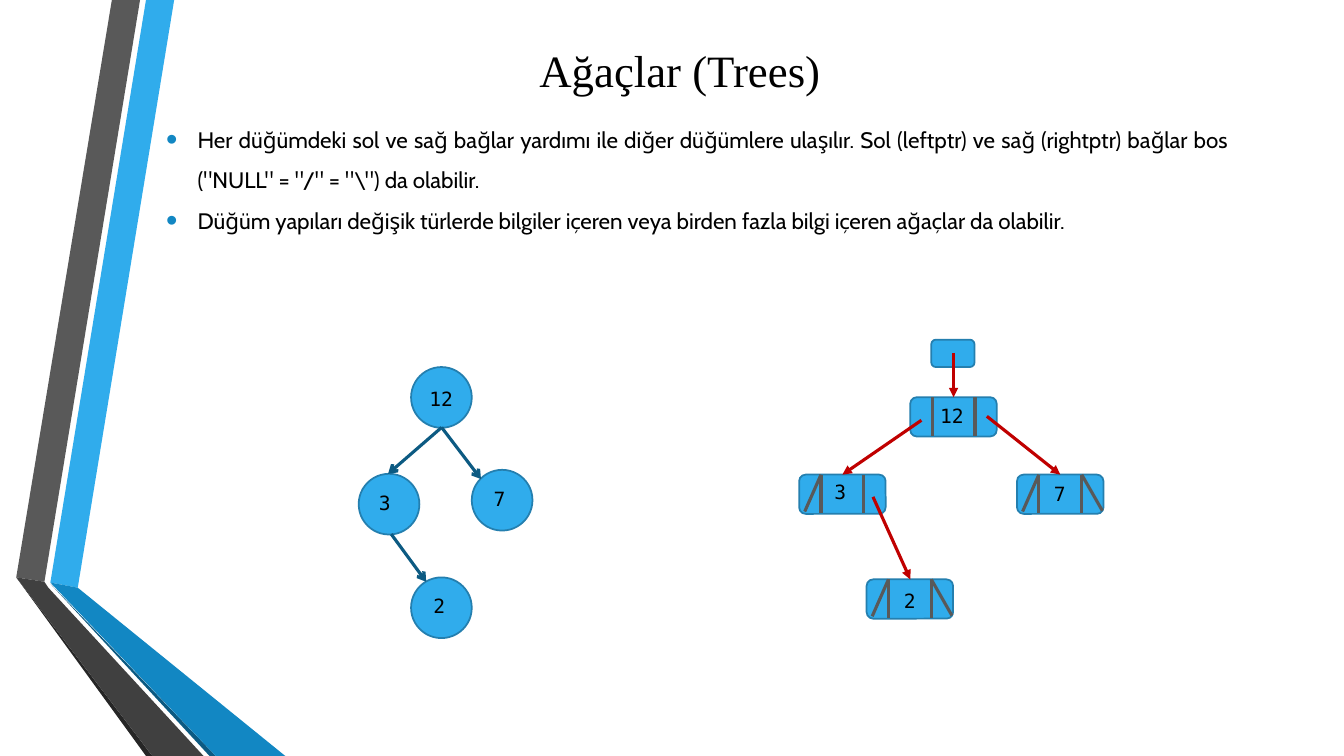
from typing import NamedTuple

from lxml.etree import SubElement
from pptx import Presentation
from pptx.dml.color import RGBColor
from pptx.enum.shapes import MSO_CONNECTOR, MSO_SHAPE
from pptx.enum.text import MSO_ANCHOR as Anchor, PP_ALIGN as Align
from pptx.oxml.ns import qn
from pptx.util import Cm, Pt

Point = tuple[float, float]

BLUE, OUTLINE, DEEP_BLUE, MID_BLUE = "30ACEC", "247FAF", "0C5A82", "1287C3"
GREY, RED, BLACK = "595959", "C00000", "000000"
NODE_SIZE = 1.53
RECORD_WIDTH, RECORD_HEIGHT = 2.18, 0.99
LEFT_DIVIDER, RIGHT_DIVIDER = 0.55, 1.63


class Ribbon(NamedTuple):
    color: str
    outline: list[Point]


class Node(NamedTuple):
    value: str
    left: float
    top: float
    label_offset: Point


class Record(NamedTuple):
    value: str
    left: float
    top: float
    label_offset: Point
    left_null: bool = False
    right_null: bool = False


class Link(NamedTuple):
    start: Point
    end: Point


RIBBONS = [
    Ribbon(BLUE, [(1.27, 14.68), (1.96, 14.81), (4.39, 0), (3.68, 0)]),
    Ribbon(GREY, [(3.53, 0), (2.82, 0), (0.41, 14.55), (1.12, 14.66)]),
    Ribbon("262626", [(0.41, 14.55), (3.68, 19.05), (3.84, 19.05)]),
    Ribbon(DEEP_BLUE, [(1.27, 14.71), (5.28, 19.05), (5.44, 19.05)]),
    Ribbon(MID_BLUE, [(1.27, 14.68), (5.44, 19.05), (7.19, 19.05), (1.96, 14.81)]),
    Ribbon("404040", [(5.13, 19.05), (1.22, 14.81), (1.12, 14.66), (0.41, 14.55),
                      (3.84, 19.05)]),
]
NODES = [
    Node("12", 10.36, 9.25, (0.21, 0.38)),
    Node("3", 9.04, 11.94, (0.26, 0.3)),
    Node("7", 11.89, 11.84, (0.3, 0.3)),
    Node("2", 10.36, 14.55, (0.31, 0.28)),
]
NODE_LINKS = [
    Link((11.13, 10.77), (9.78, 11.94)),
    Link((11.13, 10.77), (12.12, 12.07)),
    Link((9.86, 13.46), (10.74, 14.66)),
]
RECORDS = [
    Record("7", 25.63, 11.96, (0.68, 0.05), left_null=True, right_null=True),
    Record("3", 20.14, 11.96, (0.64, 0), left_null=True),
    Record("12", 22.94, 10.01, (0.5, 0.05)),
    Record("2", 21.84, 14.6, (0.69, 0.11), left_null=True, right_null=True),
]
RECORD_LINKS = [
    Link((24.03, 8.89), (24.03, 10.01)),
    Link((23.22, 10.59), (21.23, 11.96)),
    Link((24.87, 10.49), (26.72, 11.96)),
    Link((22, 12.52), (22.94, 14.6)),
]
EXPLANATION = [
    "Her düğümdeki sol ve sağ bağlar yardımı ile diğer düğümlere ulaşılır. "
    "Sol (leftptr) ve sağ (rightptr) bağlar bos (\"NULL\" = \"/\" = \"\\\") da olabilir.",
    "Düğüm yapıları değişik türlerde bilgiler içeren veya birden fazla bilgi "
    "içeren ağaçlar da olabilir.",
]
TITLE_FONT = {"name": "Times New Roman", "size": Pt(32)}
BODY_FONT = {"name": "Cabin", "size": Pt(16)}
LABEL_FONT = {"name": "DejaVu Sans Mono", "size": Pt(14)}


def rgb(value: str) -> RGBColor:
    return RGBColor.from_string(value)


def draw_ribbon(slide, ribbon: Ribbon) -> None:
    first, *rest = [(Cm(x), Cm(y)) for x, y in ribbon.outline]
    builder = slide.shapes.build_freeform(*first)
    builder.add_line_segments(rest, close=True)
    band = builder.convert_to_shape()
    band.shadow.inherit = False
    band.fill.solid()
    band.fill.fore_color.rgb = rgb(ribbon.color)
    band.line.fill.background()


def draw_blue_shape(slide, kind, left: float, top: float, width: float, height: float) -> None:
    shape = slide.shapes.add_shape(kind, Cm(left), Cm(top), Cm(width), Cm(height))
    shape.shadow.inherit = False
    shape.fill.solid()
    shape.fill.fore_color.rgb = rgb(BLUE)
    shape.line.color.rgb = rgb(OUTLINE)
    shape.line.width = Pt(1.25)


def draw_line(slide, start: Point, end: Point, color: str, arrowhead: str = "") -> None:
    line = slide.shapes.add_connector(
        MSO_CONNECTOR.STRAIGHT, *[Cm(value) for value in (*start, *end)])
    line.line.color.rgb = rgb(color)
    line.line.width = Pt(2.25)
    properties = line.element.spPr
    if arrowhead:
        SubElement(properties.find(qn("a:ln")), qn("a:tailEnd"), type=arrowhead)
    SubElement(properties, qn("a:effectLst"))


def add_text(slide, left: float, top: float, width: float, height: float,
             lines: list[str], font: dict, align=Align.LEFT,
             anchor=Anchor.TOP, bulleted: bool = False) -> None:
    frame = slide.shapes.add_textbox(Cm(left), Cm(top), Cm(width), Cm(height)).text_frame
    frame.word_wrap = True
    frame.vertical_anchor = anchor
    for index, line in enumerate(lines):
        paragraph = frame.add_paragraph() if index else frame.paragraphs[0]
        paragraph.text = line
        paragraph.alignment = align
        if bulleted:
            add_bullet(paragraph)
        for attribute, value in font.items():
            setattr(paragraph.font, attribute, value)
        paragraph.font.color.rgb = rgb(BLACK)


def add_bullet(paragraph) -> None:
    paragraph.line_spacing = 1.5
    properties = paragraph._p.get_or_add_pPr()
    properties.set("marL", str(Cm(0.79)))
    properties.set("indent", str(-Cm(0.79)))
    SubElement(SubElement(properties, qn("a:buClr")), qn("a:srgbClr"), val=MID_BLUE)
    SubElement(properties, qn("a:buSzPct"), val="145000")
    SubElement(properties, qn("a:buFont"), typeface="Arial")
    SubElement(properties, qn("a:buChar"), char="•")


def draw_label(slide, item: Node | Record) -> None:
    dx, dy = item.label_offset
    add_text(slide, item.left + dx, item.top + dy, 1.14, 0.86, [item.value], LABEL_FONT)


def draw_record(slide, record: Record) -> None:
    left, top = record.left, record.top
    draw_blue_shape(slide, MSO_SHAPE.ROUNDED_RECTANGLE, left, top, RECORD_WIDTH, RECORD_HEIGHT)
    strokes = [(x, x, 0.97) for x in (LEFT_DIVIDER, RIGHT_DIVIDER)]
    if record.left_null:
        strokes.append((LEFT_DIVIDER, 0.14, 0.93))
    if record.right_null:
        strokes.append((RIGHT_DIVIDER, 2.15, 0.91))
    for x_top, x_bottom, depth in strokes:
        draw_line(slide, (left + x_top, top), (left + x_bottom, top + depth), GREY)
    draw_label(slide, record)


def main() -> None:
    presentation = Presentation()
    presentation.slide_width, presentation.slide_height = Cm(33.87), Cm(19.05)
    slide = presentation.slides.add_slide(presentation.slide_layouts[6])

    # Side ribbons
    for ribbon in RIBBONS:
        draw_ribbon(slide, ribbon)

    # Title and explanation
    add_text(slide, 3.94, 0.43, 26.39, 2.64, ["Ağaçlar (Trees)"], TITLE_FONT,
             Align.CENTER, Anchor.MIDDLE)
    add_text(slide, 3.94, 2.72, 27.28, 4.93, EXPLANATION, BODY_FONT,
             Align.JUSTIFY, bulleted=True)

    # Tree of circles
    for node in NODES:
        draw_blue_shape(slide, MSO_SHAPE.OVAL, node.left, node.top, NODE_SIZE, NODE_SIZE)
        draw_label(slide, node)
    for link in NODE_LINKS:
        draw_line(slide, link.start, link.end, DEEP_BLUE, "arrow")

    # Tree of records with pointers
    draw_blue_shape(slide, MSO_SHAPE.ROUNDED_RECTANGLE, 23.47, 8.56, 1.09, 0.69)
    for record in RECORDS:
        draw_record(slide, record)
    for link in RECORD_LINKS:
        draw_line(slide, link.start, link.end, RED, "triangle")

    presentation.save("out.pptx")


if __name__ == "__main__":
    main()
